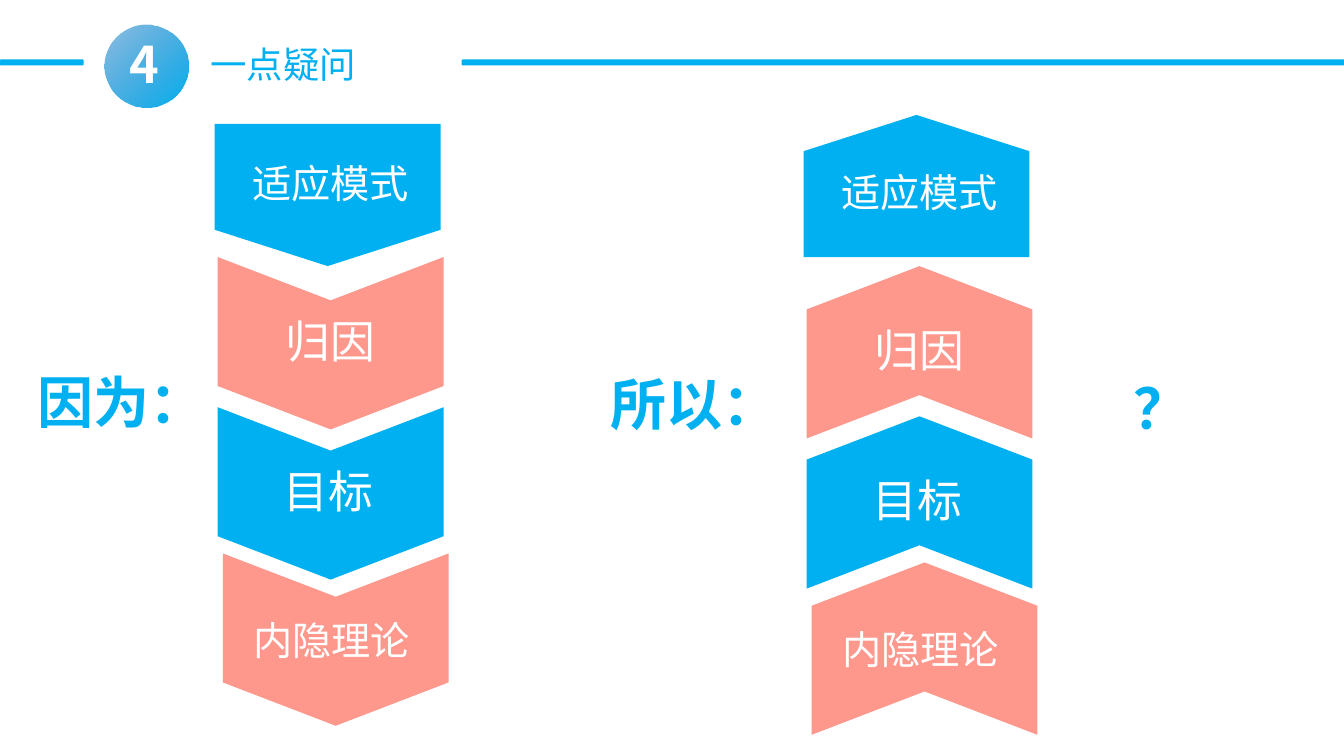
from lxml import etree
from pptx import Presentation
from pptx import util as u
from pptx.dml.color import RGBColor
from pptx.enum import shapes, text
from pptx.oxml import ns

PX = 9144
BLUE = RGBColor(0x00, 0xB0, 0xF0)
DEEP = RGBColor(0x00, 0x70, 0xC0)
CORAL = RGBColor(0xFE, 0x97, 0x8C)
WHITE = RGBColor(0xFF, 0xFF, 0xFF)
FACE = "Noto Sans CJK SC"

prs = Presentation()
prs.slide_width, prs.slide_height = 1333 * PX, 750 * PX
s = prs.slides.add_slide(prs.slide_layouts[6])


def add_text(box, words, size, color, align=text.PP_ALIGN.LEFT,
             margins=(10, 5, 10, 5), bold=False, wrap=True):
    sp = s.shapes.add_textbox(*(v * PX for v in box))
    tf = sp.text_frame
    tf.word_wrap = wrap
    tf.auto_size = text.MSO_AUTO_SIZE.SHAPE_TO_FIT_TEXT
    for side, gap in zip(("left", "top", "right", "bottom"), margins):
        setattr(tf, f"margin_{side}", gap * PX)
    p = tf.paragraphs[0]
    p.alignment = align
    r = p.add_run()
    r.text = words
    for key, value in {"size": u.Pt(size), "bold": bold, "name": FACE}.items():
        setattr(r.font, key, value)
    r.font.color.rgb = color
    etree.SubElement(r.font._element, ns.qn("a:ea"), typeface=FACE)
    return r


def paint(sp, color):
    sp.shadow.inherit = False
    sp.line.fill.background()
    sp.fill.solid()
    sp.fill.fore_color.rgb = color


add_text((199, 37, 166, 54), "一点疑问", 26, BLUE, wrap=False)
for x, w in ((458, 876), (0, 83)):
    sp = s.shapes.add_shape(shapes.MSO_SHAPE.ROUNDED_RECTANGLE, x * PX, 59 * PX, w * PX, 6 * PX)
    paint(sp, BLUE)

sp = s.shapes.add_shape(shapes.MSO_SHAPE.OVAL, 104 * PX, 24 * PX, 83 * PX, 83 * PX)
paint(sp, BLUE)
sp.fill.gradient()
sp.fill.gradient_angle = 315
for stop, color in zip(sp.fill.gradient_stops, (DEEP, BLUE)):
    stop.color.rgb = color
first = sp._element.spPr.find(".//" + ns.qn("a:srgbClr"))
etree.SubElement(first, ns.qn("a:alpha"), val="44000")
r = add_text((78, 28, 131, 71), "4", 36, WHITE, text.PP_ALIGN.CENTER, bold=True)
r.font._element.set("spc", "-300")

STEPS = (
    ("适应模式", 28, BLUE, 213, 123, 141, 36, 0, -9, 234, 154, 55),
    ("归因", 32, CORAL, 216, 255, 171, 43, 43, 9, 234, 307, 61),
    ("目标", 32, BLUE, 216, 404, 171, 43, 43, 9, 232, 456, 61),
    ("内隐理论", 28, CORAL, 221, 549, 171, 43, 43, 9, 235, 607, 55),
)
for dx, dy, upward in ((0, 0, False), (584, 9, True)):
    for words, size, color, x, y, h, tip, notch, shift, tx, ty, th in STEPS:
        left, top = x + dx, y + (shift if upward else 0)
        points = [(left, top), (left + 112, top + notch), (left + 224, top),
                  (left + 224, top + h - tip), (left + 112, top + h), (left, top + h - tip)]
        if upward:
            points = [(px, 2 * top + h - py) for px, py in points]
        outline = s.shapes.build_freeform(*points[0], scale=PX)
        outline.add_line_segments(points[1:], close=True)
        paint(outline.convert_to_shape(), color)
        add_text((tx + dx, ty + dy, 188, th), words, size, WHITE,
                 text.PP_ALIGN.CENTER, (7, 4, 7, 4))

for x, y, words in ((37, 360, "因为："), (606, 362, "所以："), (1124, 366, "？")):
    add_text((x, y, 143, 77), words, 40, BLUE, margins=(0, 5, 10, 5), bold=True)

prs.save("out.pptx")
